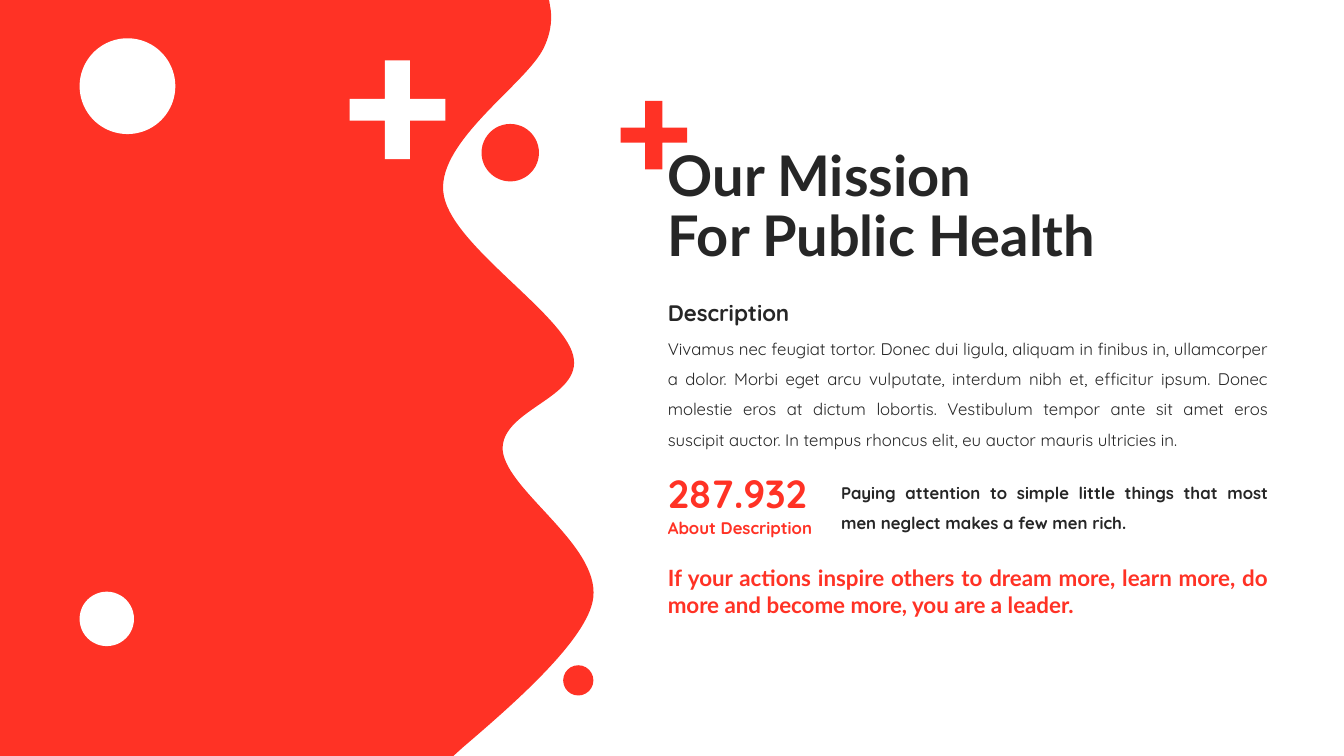
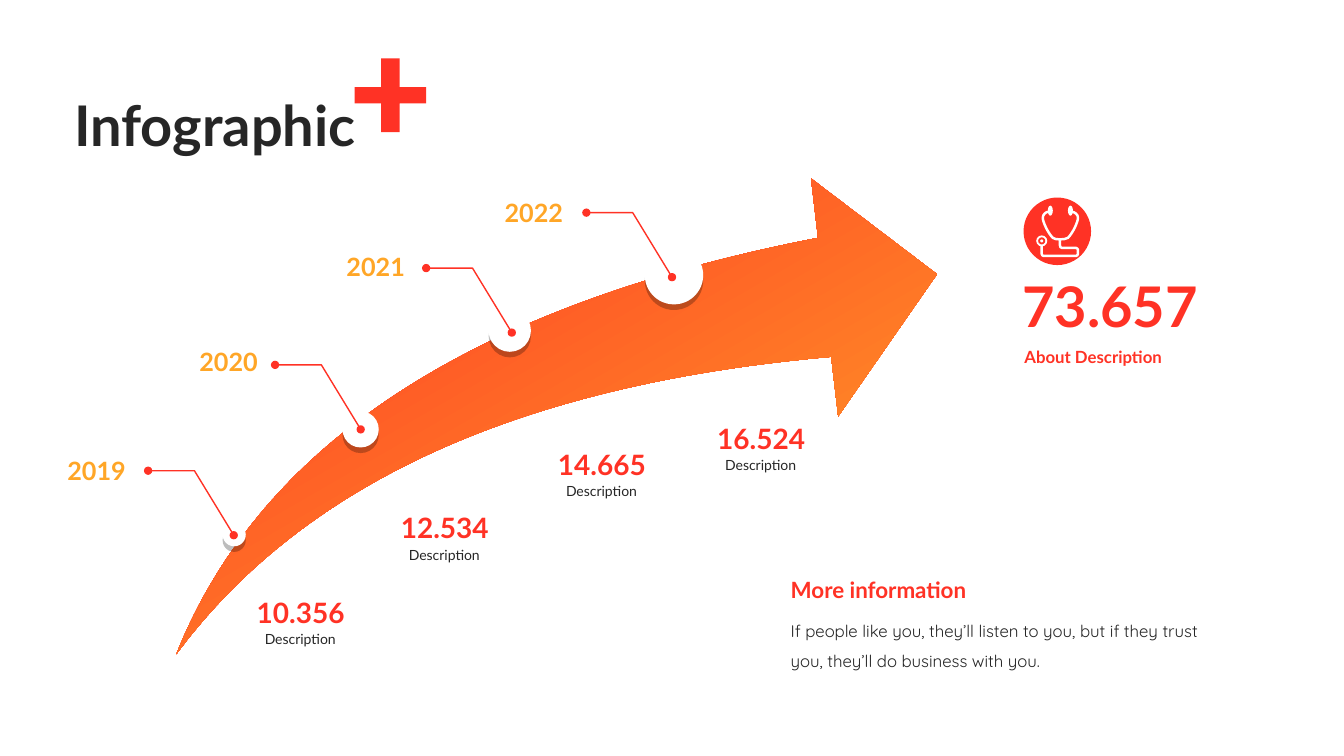
import pptx
import pptx.util
from lxml import etree
from pptx.dml.color import RGBColor
from pptx.enum.shapes import MSO_SHAPE
from pptx.enum.text import MSO_ANCHOR, MSO_AUTO_SIZE, PP_ALIGN
from pptx.oxml.ns import qn
from pptx.util import Inches


class Theme:
    red, gold, dark, white = "FF3225", "FFA627", "262626", "FFFFFF"
    # style: size, font, colour, bold
    title = (40, "Lato", dark, True)
    total = (40, "Lato", red, True)
    head = (16, "Lato", red, True)
    label = (12, "Lato", red, True)
    year = (18, "Lato", gold, True)
    value = (20, "Lato", red, True)
    note = (10, "Lato", dark, False)
    body = (12, "Quicksand", dark, False)
    strong = (12, "Quicksand", dark, True)
    topic = (16, "Quicksand", dark, True)
    count = (28, "Quicksand", red, True)
    tag = (12, "Quicksand", red, True)


# Outlines: a start point, then lines (x, y) and curves (x1, y1, x2, y2, x, y)
WAVE = [
    (0, 0), (5.45, 0), (5.46, 0.06),
    (5.48, 0.16, 5.48, 0.3, 5.4, 0.47),
    (5.24, 0.82, 4.35, 1.39, 4.4, 1.9),
    (4.44, 2.41, 5.59, 3.1, 5.69, 3.53),
    (5.79, 3.95, 4.96, 4.06, 4.99, 4.47),
    (5.03, 4.88, 6.01, 5.44, 5.88, 5.98),
    (5.78, 6.39, 5.08, 7, 4.6, 7.41),
    (4.5, 7.5), (0, 7.5),
]
ARROW = [
    (1.75, 6.49), (2.59, 4.39, 4.71, 3.02, 8.12, 2.36),
    (8.05, 1.77), (9.3, 2.72), (8.32, 4.13), (8.25, 3.54),
    (5.17, 3.81, 3.01, 4.79, 1.75, 6.49),
]
YOKE = [
    (10.41, 2.1), (10.38, 2.1, 10.35, 2.13, 10.35, 2.16),
    (10.35, 2.2, 10.4, 2.31, 10.45, 2.36),
    (10.47, 2.38, 10.57, 2.38, 10.6, 2.36),
    (10.65, 2.31, 10.7, 2.2, 10.7, 2.16),
    (10.7, 2.13, 10.67, 2.1, 10.63, 2.1),
]
HOSE = [
    (10.52, 2.38), (10.52, 2.43), (10.52, 2.45, 10.53, 2.46, 10.54, 2.46),
    (10.68, 2.46), (10.69, 2.46, 10.7, 2.47, 10.7, 2.48),
    (10.7, 2.52), (10.7, 2.53, 10.69, 2.54, 10.68, 2.54),
    (10.36, 2.54), (10.35, 2.54, 10.34, 2.53, 10.34, 2.52), (10.34, 2.43),
]

# Discs: left, top, size, colour
BUBBLES = [
    (0.79, 0.38, 0.95, Theme.white), (0.79, 5.87, 0.54, Theme.white),
    (4.78, 1.23, 0.57, Theme.red), (5.59, 6.6, 0.3, Theme.red),
]
CHEST = [(0.11, Theme.white), (0.07, Theme.red), (0.03, Theme.white)]

# Text: style, left, top, width, height, words
MISSION = [
    (Theme.body, 6.53, 3.21, 6.16, 1.3,
     "Vivamus nec feugiat tortor. Donec dui ligula, aliquam in finibus in, "
     "ullamcorper a dolor. Morbi eget arcu vulputate, interdum nibh et, "
     "efficitur ipsum. Donec molestie eros at dictum lobortis. Vestibulum "
     "tempor ante sit amet eros suscipit auctor. In tempus rhoncus elit, "
     "eu auctor mauris ultricies in."),
    (Theme.topic, 6.53, 2.79, 2.96, 0.5, "Description"),
    (Theme.tag, 6.53, 5.09, 1.72, 0.3, "About Description"),
    (Theme.count, 6.53, 4.6, 2.3, 0.57, "287.932"),
    (Theme.strong, 8.25, 4.64, 4.44, 0.7,
     "Paying attention to simple little things that most men neglect "
     "makes a few men rich."),
    (Theme.head, 6.53, 5.55, 6.16, 0.64,
     "If your actions inspire others to dream more, learn more, do more "
     "and become more, you are a leader."),
]
FACTS = [
    (Theme.total, 10.05, 2.64, 1.94, 0.77, "73.657"),
    (Theme.label, 10.07, 3.39, 2.02, 0.3, "About Description"),
    (Theme.head, 7.75, 5.67, 2.99, 0.37, "More information"),
    (Theme.body, 7.75, 6.01, 4.54, 0.7,
     "If people like you, they’ll listen to you, but if they trust you, "
     "they’ll do business with you."),
]
# Year, its place, value, its place, disc (left, top, size), pin end
STEPS = [
    ("2019", (0.57, 4.47), "10.356", (2.45, 5.86), (2.21, 5.19, 0.23), (2.32, 5.31)),
    ("2020", (1.88, 3.39), "12.534", (3.88, 5.02), (3.4, 4.08, 0.36), (3.58, 4.26)),
    ("2021", (3.34, 2.44), "14.665", (5.44, 4.39), (4.85, 3.07, 0.42), (5.08, 3.3)),
    ("2022", (4.91, 1.91), "16.524", (7.02, 4.13), (6.4, 2.44, 0.58), (6.67, 2.75)),
]
AIRY = (Theme.body, Theme.strong, Theme.topic)


def rgb(color):
    return RGBColor.from_string(color)


def paint(shape, fill=None, line=None, width=1):
    shape.shadow.inherit = False
    if fill:
        shape.fill.solid()
        shape.fill.fore_color.rgb = rgb(fill)
    else:
        shape.fill.background()
    if line:
        shape.line.color.rgb = rgb(line)
        shape.line.width = pptx.util.Pt(width)
    else:
        shape.line.fill.background()
    return shape


def trace(slide, outline, close=True):
    """Build a freeform, turning each six-number part into a true curve."""
    start, *parts = [[(Inches(x), Inches(y)) for x, y in zip(part[::2], part[1::2])]
                     for part in outline]
    pen = slide.shapes.build_freeform(*start[0], scale=1.0)
    pen.add_line_segments([point for part in parts for point in part], close=close)
    shape = pen.convert_to_shape()
    path = shape.element.find(".//" + qn("a:path"))
    lines = iter(path.findall(qn("a:lnTo")))
    for part in parts:
        first, *rest = [next(lines) for _ in part]
        if rest:
            first.tag = qn("a:cubicBezTo")
        for node in rest:
            first.append(node[0])
            path.remove(node)
    return shape


def disc(slide, left, top, size, color, tall=None):
    box = [Inches(n) for n in (left, top, size, tall or size)]
    return paint(slide.shapes.add_shape(MSO_SHAPE.OVAL, *box), color)


def plus(slide, left, top, width, color):
    height = width * 1.03
    x = [left + width * part for part in (0, 0.37, 0.63, 1)]
    y = [top + height * part for part in (0, 0.39, 0.61, 1)]
    turns = [(1, 0), (2, 0), (2, 1), (3, 1), (3, 2), (2, 2),
             (2, 3), (1, 3), (1, 2), (0, 2), (0, 1), (1, 1)]
    paint(trace(slide, [(x[i], y[j]) for i, j in turns]), color)


def write(slide, style, left, top, width, height, words,
          align=PP_ALIGN.LEFT, wrap=True, middle=False, grow=True):
    box = slide.shapes.add_textbox(*[Inches(n) for n in (left, top, width, height)])
    frame = box.text_frame
    frame.word_wrap = wrap
    frame.auto_size = MSO_AUTO_SIZE.SHAPE_TO_FIT_TEXT if grow else MSO_AUTO_SIZE.NONE
    frame.vertical_anchor = MSO_ANCHOR.MIDDLE if middle else MSO_ANCHOR.TOP
    frame.text = words
    size, face, color, bold = style
    for para in frame.paragraphs:
        para.alignment = align
        para.line_spacing = 0.9 if style is Theme.title else 1.5 if style in AIRY else 1.0
        for run in para.runs:
            run.font.size = pptx.util.Pt(size)
            run.font.name = face
            run.font.bold = bold
            run.font.color.rgb = rgb(color)


def title(slide, left, top, words):
    write(slide, Theme.title, left, top, 5.09, 1.45, words, middle=True, grow=False)


def shade(shape):
    """Drop a hard shadow four points below the shape."""
    effects = shape.element.spPr.find(qn("a:effectLst"))
    drop = etree.SubElement(effects, qn("a:outerShdw"), blurRad="0",
                            dist=str(pptx.util.Pt(4)), dir="5400000",
                            algn="t", rotWithShape="0")
    black = etree.SubElement(drop, qn("a:srgbClr"), val="000000")
    etree.SubElement(black, qn("a:alpha"), val="25000")


def pin(slide, x, y):
    bend = [(x, y), (x - 0.39, y - 0.64), (x - 0.85, y - 0.64)]
    shape = paint(trace(slide, bend, close=False), line=Theme.red)
    line = shape.element.spPr.find(qn("a:ln"))
    for end in ("a:headEnd", "a:tailEnd"):
        etree.SubElement(line, qn(end), type="oval")


def scope(slide):
    """Stethoscope badge."""
    disc(slide, 10.16, 1.96, 0.67, Theme.red)
    for outline in (YOKE, HOSE):
        paint(trace(slide, outline, close=False), line=Theme.white, width=1.75)
    for left in (10.4, 10.6):
        disc(slide, left, 2.04, 0.05, Theme.white, tall=0.1)
    for size, color in CHEST:
        disc(slide, 10.34 - size / 2, 2.39 - size / 2, size, color)


def mission(slide):
    paint(trace(slide, WAVE), Theme.red)
    plus(slide, 6.16, 1, 0.66, Theme.red)
    plus(slide, 3.47, 0.6, 0.95, Theme.white)
    for bubble in BUBBLES:
        disc(slide, *bubble)
    for item in MISSION:
        write(slide, *item, align=PP_ALIGN.JUSTIFY,
              middle=item[0] in (Theme.tag, Theme.count))
    title(slide, 6.53, 1.34, "Our Mission\vFor Public Health")


def growth(slide):
    arrow = paint(trace(slide, ARROW))
    arrow.fill.gradient()
    arrow.fill.gradient_angle = 300
    for stop, color in zip(arrow.fill.gradient_stops, (Theme.red, Theme.gold)):
        stop.color.rgb = rgb(color)
    for year, spot, value, place, ring, tip in STEPS:
        left, top = place
        shade(disc(slide, *ring, Theme.white))
        pin(slide, *tip)
        write(slide, Theme.year, *spot, 0.78, 0.4, year, wrap=False)
        write(slide, Theme.value, left, top, 1.07, 0.44, value, wrap=False)
        write(slide, Theme.note, left + 0.08, top + 0.35, 0.93, 0.27,
              "Description", wrap=False)
    for item in FACTS:
        write(slide, *item, wrap=item[0] is not Theme.total)
    plus(slide, 3.52, 0.58, 0.71, Theme.red)
    title(slide, 0.64, 0.55, "Infographic")
    scope(slide)


def main():
    deck = pptx.Presentation()
    deck.slide_width, deck.slide_height = Inches(13.34), Inches(7.5)
    for build in (mission, growth):
        build(deck.slides.add_slide(deck.slide_layouts[6]))
    deck.save("out.pptx")


if __name__ == "__main__":
    main()
